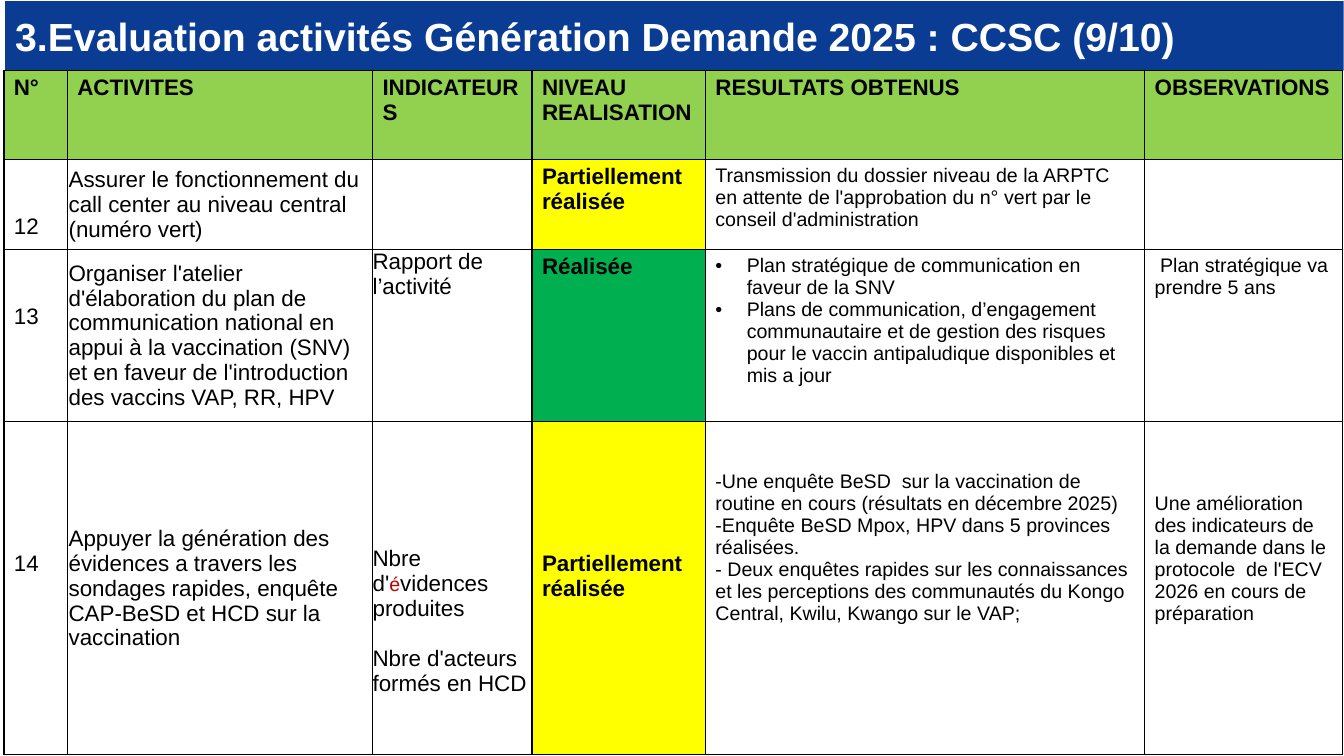
from lxml.etree import SubElement as Sub
from pptx import Presentation
from pptx.dml.color import RGBColor
from pptx.enum.text import MSO_ANCHOR as Anchor, MSO_AUTO_SIZE as Fit, PP_ALIGN as Align
from pptx.oxml.ns import qn
from pptx.util import Cm, Pt

BLACK, WHITE, RED, NAVY = "000000", "FFFFFF", "C00000", "093C92"
LIME, YELLOW, GREEN = "92D050", "FFFF00", "00B050"


def paint(fill, hue):
    fill.solid()
    fill.fore_color.rgb = RGBColor.from_string(hue)


def style(font, size, bold, hue):
    vals = {"name": "Arial", "size": Pt(size), "bold": bold}
    for key, val in vals.items():
        setattr(font, key, val)
    paint(font.fill, hue)


deck = Presentation()
deck.slide_width, deck.slide_height = Cm(33.87), Cm(19.05)
slide = deck.slides.add_slide(deck.slide_layouts[5])

# Title band
title = slide.shapes.title
place = {"left": Cm(0.13), "top": Cm(0.03), "width": Cm(33.73), "height": Cm(1.75)}
for key, val in place.items():
    setattr(title, key, val)
paint(title.fill, NAVY)
frame = title.text_frame
frame.text = "3.Evaluation activités Génération Demande 2025 : CCSC (9/10)"
form = {"vertical_anchor": Anchor.MIDDLE, "auto_size": Fit.NONE, "word_wrap": True}
for key, val in form.items():
    setattr(frame, key, val)
frame.paragraphs[0].alignment = Align.LEFT
style(frame.paragraphs[0].runs[0].font, 28, True, WHITE)

# Each cell is a list of paragraphs; in a tuple every second run is red
heads = ["N°", "ACTIVITES", "INDICATEURS", "NIVEAU REALISATION",
         "RESULTATS OBTENUS", "OBSERVATIONS"]
rows = [
    [[head] for head in heads],
    [["12"],
     ["Assurer le fonctionnement du call center au niveau central (numéro vert)"],
     [],
     ["Partiellement réalisée"],
     ["Transmission du dossier niveau de la ARPTC en attente de l'approbation "
      "du n° vert par le conseil d'administration"],
     []],
    [["13"],
     ["Organiser l'atelier d'élaboration du plan de communication national en "
      "appui à la vaccination (SNV) et en faveur de l'introduction des vaccins "
      "VAP, RR, HPV"],
     ["Rapport de l’activité"],
     ["Réalisée"],
     ["Plan stratégique de communication en faveur de la SNV",
      "Plans de communication, d’engagement communautaire et de gestion des "
      "risques pour le vaccin antipaludique disponibles et mis a jour"],
     [" Plan stratégique va prendre 5 ans"]],
    [["14"],
     ["Appuyer la génération des évidences a travers les sondages rapides, "
      "enquête CAP-BeSD et HCD sur la vaccination"],
     [("Nbre d'", "é", "vidences produites"), "Nbre d'acteurs formés en HCD"],
     ["Partiellement réalisée"],
     ["-Une enquête BeSD  sur la vaccination de routine en cours "
      "(résultats en décembre 2025)",
      "-Enquête BeSD Mpox, HPV dans 5 provinces réalisées.",
      "- Deux enquêtes rapides sur les connaissances et les perceptions des "
      "communautés du Kongo Central, Kwilu, Kwango sur le VAP;"],
     ["Une amélioration des indicateurs de la demande dans le protocole  de "
      "l'ECV 2026 en cours de préparation"]],
]
wides = [1.6, 7.69, 4.02, 4.37, 11.07, 4.98]
highs = [2.25, 2.26, 4.34, 8.4]
sizes = [16, 16, 16, 16, 14, 14]
sides = [0.25, 0.03, 0, 0.25, 0.25, 0.25]
levels = [LIME, YELLOW, GREEN, YELLOW]
# Top margins that differ from the usual 0.13 cm, by row and column
tops = {(1, 0): 1.39, (2, 0): 1.39, (3, 0): 3.28, (3, 2): 3.15,
        (3, 3): 3.28, (3, 4): 1.23, (3, 5): 1.79, (2, 2): 0}

grid = slide.shapes.add_table(len(rows), len(heads), Cm(0.1), Cm(1.77),
                              Cm(sum(wides)), Cm(sum(highs))).table
grid.first_row = grid.horz_banding = False
for col, wide in zip(grid.columns, wides):
    col.width = Cm(wide)
for row, high in zip(grid.rows, highs):
    row.height = Cm(high)

for r, row in enumerate(rows):
    for c, paras in enumerate(row):
        cell = grid.cell(r, c)
        head, task = r == 0, r > 0 and c == 1
        side = 0.25 if head else sides[c]
        edge = 0.02 if task else 0.13
        form = {"margin_left": Cm(side), "margin_right": Cm(side),
                "margin_top": Cm(tops.get((r, c), edge)),
                "margin_bottom": Cm(0 if task else min(side, 0.13)),
                "vertical_anchor": Anchor.MIDDLE if task else Anchor.TOP}
        for key, val in form.items():
            setattr(cell, key, val)

        props = cell._tc.get_or_add_tcPr()
        for tag in ("a:lnL", "a:lnR", "a:lnT", "a:lnB"):
            line = Sub(props, qn(tag), w="12700")
            Sub(Sub(line, qn("a:solidFill")), qn("a:srgbClr"), val=BLACK)
        paint(cell.fill, LIME if head else levels[r] if c == 3 else WHITE)

        for n, text in enumerate(paras):
            frame = cell.text_frame
            para = frame.add_paragraph() if n else frame.paragraphs[0]
            if n and c == 2:
                para.space_before = Pt(18)
            if (r, c) == (2, 4):
                marks = para._p.get_or_add_pPr()
                marks.set("marL", str(Cm(0.79)))
                marks.set("indent", str(-Cm(0.79)))
                Sub(marks, qn("a:buFont"), typeface="Arial")
                Sub(marks, qn("a:buChar"), char="•")
            for k, part in enumerate(text if isinstance(text, tuple) else [text]):
                run = para.add_run()
                run.text = part
                size = 16 if head else 14 if k == 1 else sizes[c]
                style(run.font, size, head or c == 3, RED if k == 1 else BLACK)

deck.save("out.pptx")
